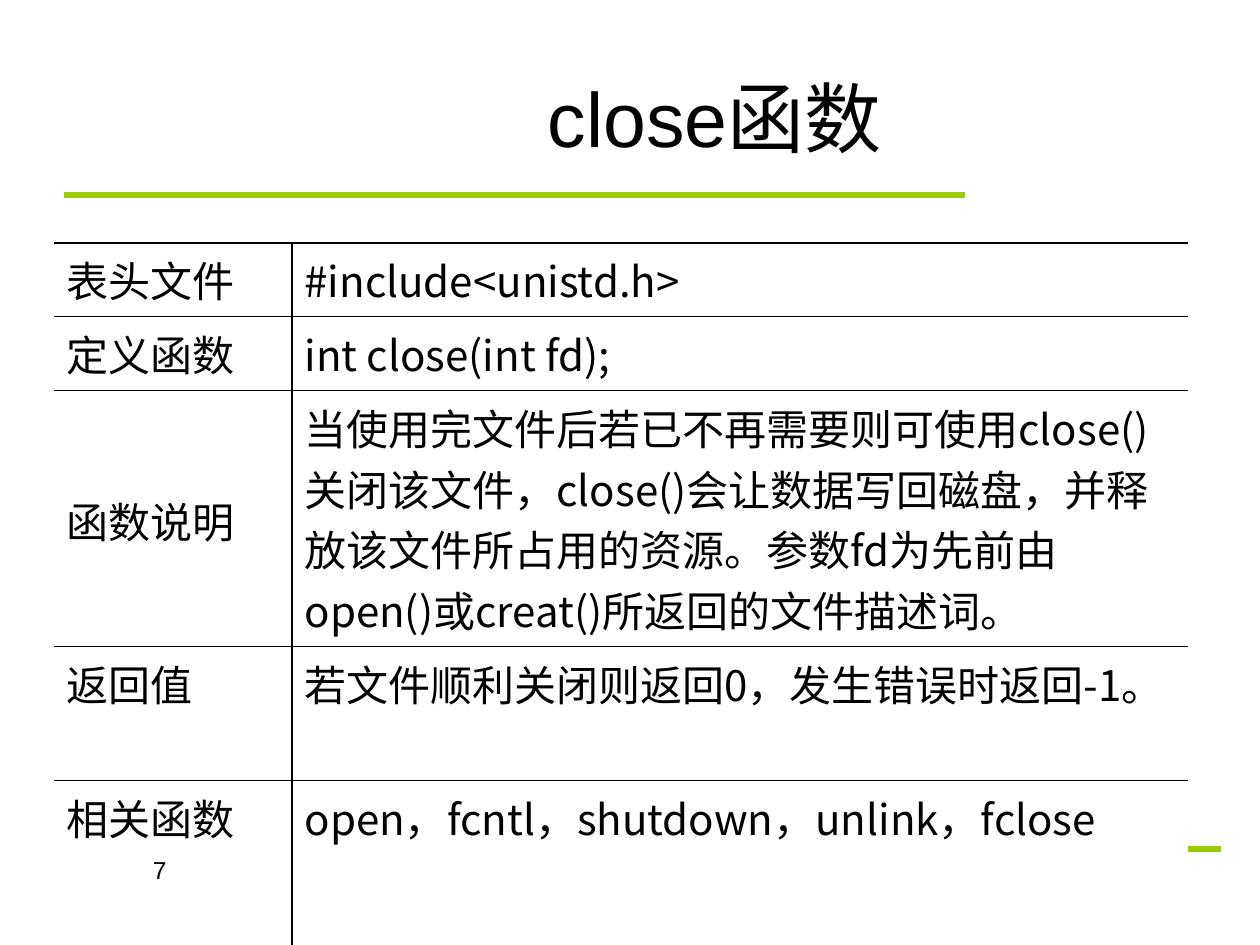
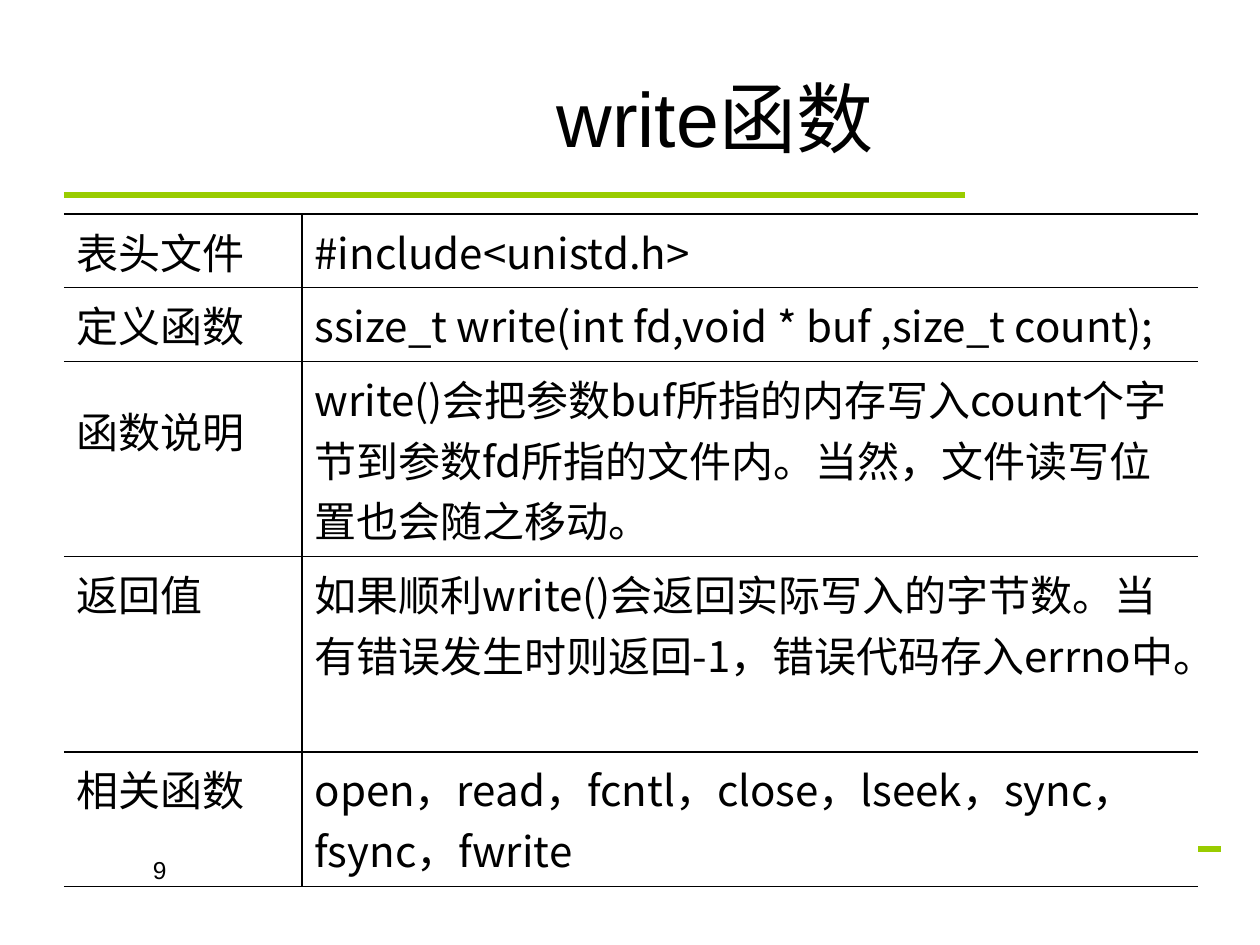
from lxml import etree
from pptx import Presentation, oxml, util as u
from pptx.dml.color import RGBColor
from pptx.enum import shapes, text
from pptx.oxml.ns import qn

PX = u.Inches(1) // 126
BLACK = RGBColor(0x00, 0x00, 0x00)
WHITE = RGBColor(0xFF, 0xFF, 0xFF)
GREEN = RGBColor(0x99, 0xCC, 0x00)
LATIN, CJK = "Arial", "Noto Sans CJK SC"

TITLE_FONT = dict(name=LATIN, size=u.Pt(44))
CELL_FONT = dict(name=CJK, size=u.Pt(24))
PAGE_FONT = dict(name=LATIN, size=u.Pt(14))

TITLE_BOX = (233, 38, 964, 157)
PAGE_BOX = (0, 849, 179, 66)
RULES = [(64, 195, 901), (320, 849, 901)]  # left, top, width
COLUMNS = (238, 896)
LABELS = ("表头文件", "定义函数", "函数说明", "返回值", "相关函数")
RAISED_LABEL = "函数说明"
RAISE = 96

FUNCTIONS = [
    dict(name="close", page=7, corner=(54, 243), heights=(73, 73, 256, 134, 165), entries=(
        "#include<unistd.h>",
        "int close(int fd);",
        "当使用完文件后若已不再需要则可使用close()关闭该文件，close()会让数据写回磁盘，"
        "并释放该文件所占用的资源。参数fd为先前由open()或creat()所返回的文件描述词。",
        "若文件顺利关闭则返回0，发生错误时返回-1。",
        "open，fcntl，shutdown，unlink，fclose")),
    dict(name="write", page=9, corner=(64, 214), heights=(73, 73, 195, 195, 134), entries=(
        "#include<unistd.h>",
        "ssize_t write(int fd,void * buf ,size_t count);",
        "write()会把参数buf所指的内存写入count个字节到参数fd所指的文件内。"
        "当然，文件读写位置也会随之移动。",
        "如果顺利write()会返回实际写入的字节数。当有错误发生时则返回-1，错误代码存入errno中。",
        "open，read，fcntl，close，lseek，sync，fsync，fwrite")),
]


def emu(*lengths):
    return [n * PX for n in lengths]


def write(tf, words, font, align):
    p = tf.paragraphs[0]
    p.alignment = align
    r = p.add_run()
    r.text = words
    for key, value in font.items():
        setattr(r.font, key, value)
    r.font.color.rgb = BLACK
    etree.SubElement(r._r.get_or_add_rPr(), qn("a:ea"), typeface=CJK)


def set_borders(cell, sides):
    """Draw the named sides (of L, R, T, B) and clear the others."""
    tc_pr = cell._tc.get_or_add_tcPr()
    for i, side in enumerate("LRTB"):
        ln = oxml.parse_xml(
            '<a:ln%s xmlns:a="http://schemas.openxmlformats.org/drawingml/2006/main" w="%d"/>'
            % (side, u.Pt(0.75)))
        if side in sides:
            fill = etree.SubElement(ln, qn("a:solidFill"))
            etree.SubElement(fill, qn("a:srgbClr"), val=str(BLACK))
        else:
            etree.SubElement(ln, qn("a:noFill"))
        tc_pr.insert(i, ln)


def add_rules(slide):
    """Put the green rules on the layout, so that every slide shows them."""
    for left, top, width in RULES:
        line = slide.shapes.add_connector(
            shapes.MSO_CONNECTOR.STRAIGHT, *emu(left, top, left + width, top))
        line.line.color.rgb = GREEN
        line.line.width = u.Pt(3)
        etree.SubElement(line.element.spPr, qn("a:effectLst"))
        slide.slide_layout.shapes.element.append(line.element)


def add_title(slide, box, words):
    sp = slide.shapes.title
    sp.left, sp.top, sp.width, sp.height = emu(*box)
    sp.text_frame.vertical_anchor = text.MSO_ANCHOR.MIDDLE
    write(sp.text_frame, words, TITLE_FONT, text.PP_ALIGN.CENTER)


def add_page_number(slide, box, page):
    tf = slide.shapes.add_textbox(*emu(*box)).text_frame
    tf.word_wrap = True
    write(tf, str(page), PAGE_FONT, text.PP_ALIGN.RIGHT)


def add_reference_table(slide, corner, heights, entries):
    box = emu(*corner, sum(COLUMNS), sum(heights))
    table = slide.shapes.add_table(len(LABELS), len(COLUMNS), *box).table
    table.first_row = table.horz_banding = False
    for column, width in zip(table.columns, COLUMNS):
        column.width = width * PX
    for row, height, label, entry in zip(table.rows, heights, LABELS, entries):
        row.height = height * PX
        for cell, words, sides in zip(row.cells, (label, entry), ("RTB", "LTB")):
            cell.fill.solid()
            cell.fill.fore_color.rgb = WHITE
            set_borders(cell, sides)
            write(cell.text_frame, words, CELL_FONT, text.PP_ALIGN.LEFT)
            if words == RAISED_LABEL:
                cell.vertical_anchor = text.MSO_ANCHOR.BOTTOM
                cell.margin_bottom = RAISE * PX


def add_function_slide(prs, layout, name, page, corner, heights, entries):
    slide = prs.slides.add_slide(layout)
    add_title(slide, TITLE_BOX, name + "函数")
    add_reference_table(slide, corner, heights, entries)
    add_page_number(slide, PAGE_BOX, page)
    return slide


def main():
    prs = Presentation()
    prs.slide_width, prs.slide_height = emu(1260, 945)
    layout = prs.slide_layouts.get_by_name("Title Only")
    slides = [add_function_slide(prs, layout, **function) for function in FUNCTIONS]
    add_rules(slides[0])
    prs.save("out.pptx")


if __name__ == "__main__":
    main()
